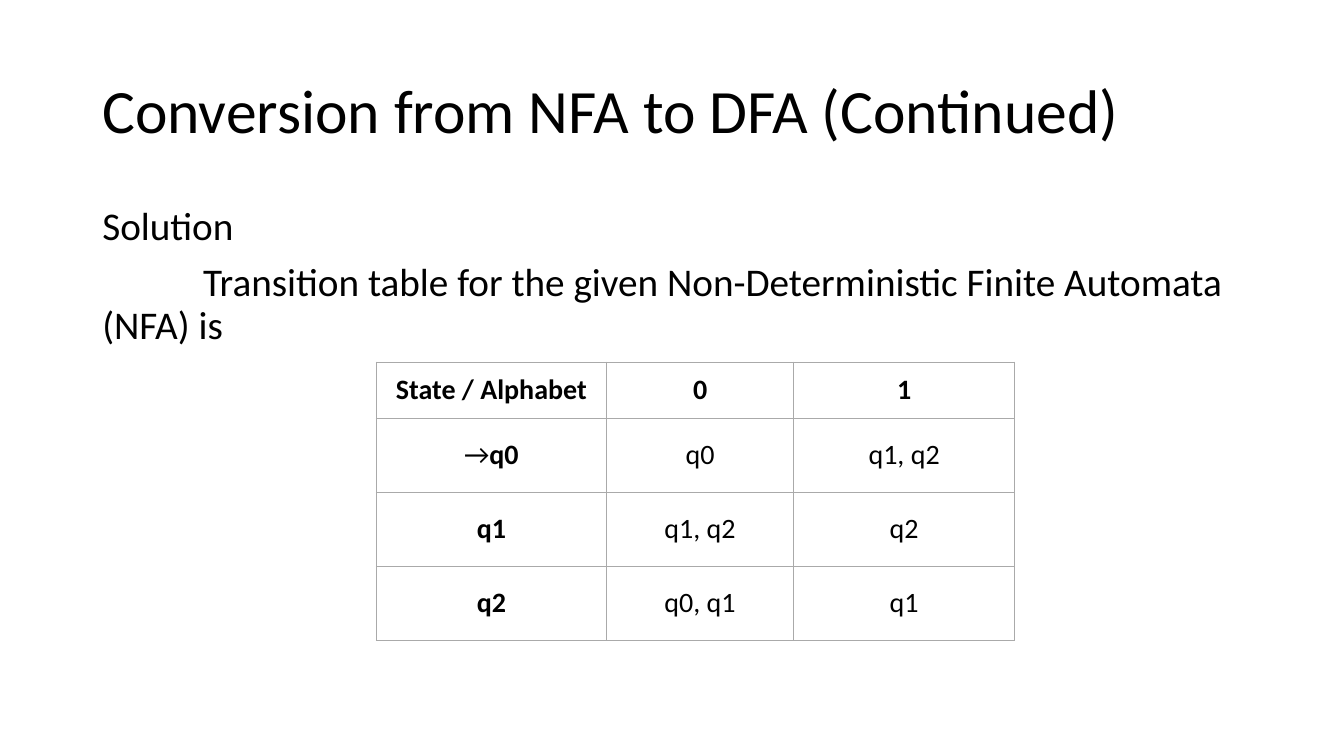
from dataclasses import dataclass

from lxml import etree
from pptx import Presentation
from pptx.dml.color import RGBColor
from pptx.enum.text import MSO_ANCHOR, PP_ALIGN
from pptx.oxml.ns import qn
from pptx.util import Inches, Pt

MIDDLE, TOP = MSO_ANCHOR.MIDDLE, MSO_ANCHOR.TOP
CENTER = PP_ALIGN.CENTER
COLORS = {"text": "000000", "paper": "FFFFFF", "border": "AAAAAA"}
FONT = "Calibri"
GRID_COLUMNS, GRID_ROWS = 160, 90
CELL_SIZE = 20
BORDER_WIDTH = 0.6
BORDER_SIDES = ("a:lnL", "a:lnR", "a:lnT", "a:lnB")


def grid(units: float) -> int:
    return Inches(units / 12)


@dataclass(frozen=True)
class Span:
    text: str
    bold: bool = False


@dataclass(frozen=True)
class Line:
    text: str
    indent: float = 0


@dataclass(frozen=True)
class TextBlock:
    column: float
    row: float
    columns: float
    rows: float
    size: int
    anchor: MSO_ANCHOR
    lines: tuple[Line, ...]


@dataclass(frozen=True)
class TransitionTable:
    column: float
    row: float
    widths: tuple[float, ...]
    heights: tuple[float, ...]
    cells: tuple[tuple[tuple[Span, ...], ...], ...]


def state_row(state: tuple[Span, ...], *targets: str) -> tuple[tuple[Span, ...], ...]:
    return (state, *((Span(target),) for target in targets))


TEXT_BLOCKS = (
    TextBlock(11, 4.8, 138, 17.4, 44, MIDDLE,
              (Line("Conversion from NFA to DFA (Continued)"),)),
    TextBlock(11, 24, 138, 57.1, 28, TOP, (
        Line("Solution"),
        Line("Transition table for the given Non-Deterministic Finite Automata (NFA) is", 12),
    )),
)

TRANSITIONS = TransitionTable(
    44.8, 43.1, (27.4, 22.3, 26.3), (6.7, 8.8, 8.8, 8.8),
    (
        tuple((Span(label, True),) for label in ("State / Alphabet", "0", "1")),
        state_row((Span("→"), Span("q0", True)), "q0", "q1, q2"),
        state_row((Span("q1", True),), "q1, q2", "q2"),
        state_row((Span("q2", True),), "q0, q1", "q1"),
    ),
)


def add_span(para, span: Span, size: int) -> None:
    run = para.add_run()
    run.text = span.text
    run.font.name = FONT
    run.font.size = Pt(size)
    run.font.bold = span.bold
    run.font.color.rgb = RGBColor.from_string(COLORS["text"])


def add_text_block(page, block: TextBlock) -> None:
    box = page.shapes.add_textbox(grid(block.column), grid(block.row),
                                  grid(block.columns), grid(block.rows))
    frame = box.text_frame
    frame.word_wrap = True
    frame.vertical_anchor = block.anchor
    for index, line in enumerate(block.lines):
        para = frame.add_paragraph() if index else frame.paragraphs[0]
        para.line_spacing = 0.9
        para.space_before = Pt(10 if index else 0)
        if line.indent:
            para._p.get_or_add_pPr().set("indent", str(grid(line.indent)))
        add_span(para, Span(line.text), block.size)


def add_borders(cell) -> None:
    properties = cell._tc.get_or_add_tcPr()
    for position, side in enumerate(BORDER_SIDES):
        border = etree.Element(qn(side), w=str(Pt(BORDER_WIDTH)))
        fill = etree.SubElement(border, qn("a:solidFill"))
        etree.SubElement(fill, qn("a:srgbClr"), val=COLORS["border"])
        properties.insert(position, border)


def fill_cell(cell, spans: tuple[Span, ...]) -> None:
    cell.fill.solid()
    cell.fill.fore_color.rgb = RGBColor.from_string(COLORS["paper"])
    cell.vertical_anchor = MIDDLE
    cell.margin_left = cell.margin_right = Inches(0.08)
    cell.margin_top = cell.margin_bottom = Inches(0.07)
    para = cell.text_frame.paragraphs[0]
    para.alignment = CENTER
    for span in spans:
        add_span(para, span, CELL_SIZE)
    add_borders(cell)


def add_transition_table(page, layout: TransitionTable) -> None:
    table = page.shapes.add_table(
        len(layout.heights), len(layout.widths),
        grid(layout.column), grid(layout.row),
        grid(sum(layout.widths)), grid(sum(layout.heights))).table
    table.first_row = table.horz_banding = False
    for column, width in zip(table.columns, layout.widths):
        column.width = grid(width)
    for row, height, cells in zip(table.rows, layout.heights, layout.cells):
        row.height = grid(height)
        for cell, spans in zip(row.cells, cells):
            fill_cell(cell, spans)


def main() -> None:
    deck = Presentation()
    deck.slide_width, deck.slide_height = grid(GRID_COLUMNS), grid(GRID_ROWS)
    page = deck.slides.add_slide(deck.slide_layouts[6])
    for block in TEXT_BLOCKS:
        add_text_block(page, block)
    add_transition_table(page, TRANSITIONS)
    deck.save("out.pptx")


if __name__ == "__main__":
    main()
